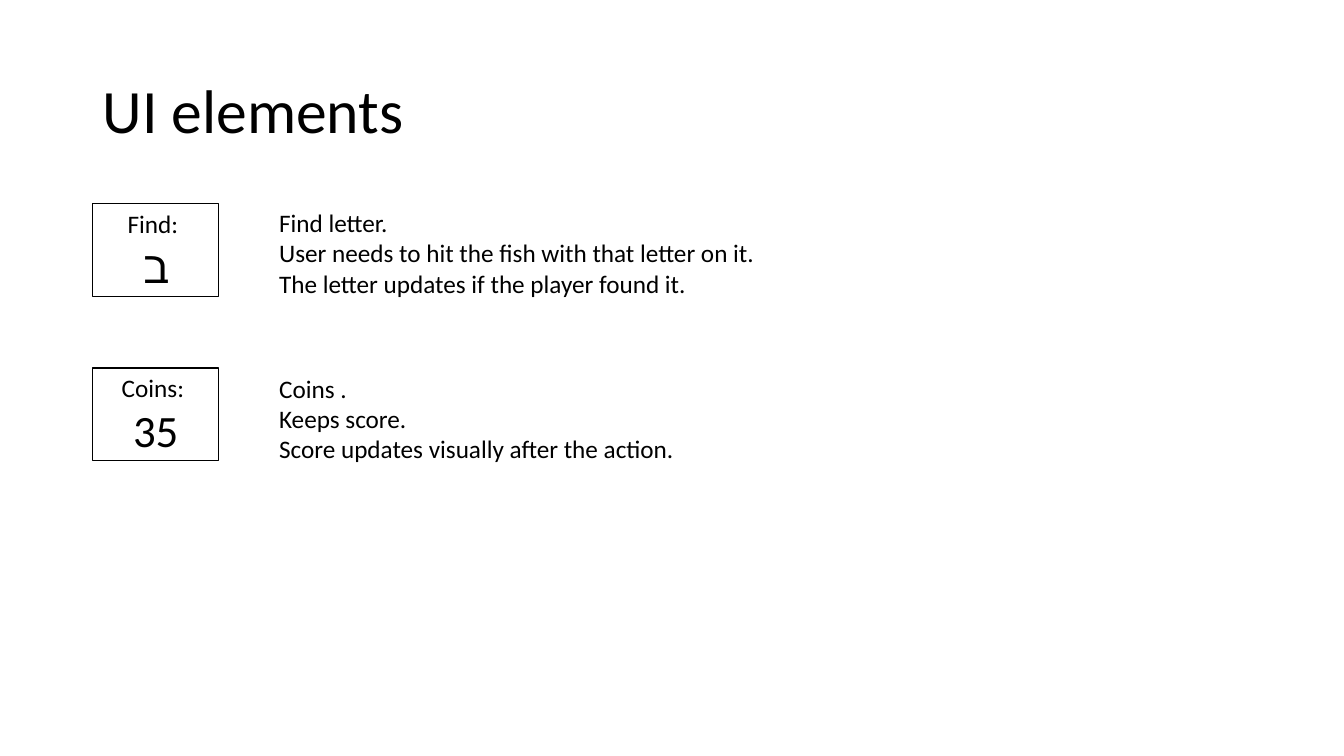
from dataclasses import dataclass

from pptx import Presentation
from pptx.dml.color import RGBColor
from pptx.enum.shapes import MSO_SHAPE
from pptx.enum.text import MSO_ANCHOR, PP_ALIGN
from pptx.slide import Slide
from pptx.text.text import TextFrame
from pptx.util import Pt

EMU_PER_PX = 9144


@dataclass(frozen=True)
class Theme:
    font: str = "Calibri"
    ink: RGBColor = RGBColor(0, 0, 0)
    paper: RGBColor = RGBColor(255, 255, 255)
    title_size: int = 44
    value_size: int = 32
    body_size: int = 18
    outline: int = 1


@dataclass(frozen=True)
class Box:
    left: int
    top: int
    width: int
    height: int

    def emu(self) -> tuple[int, ...]:
        return tuple(
            side * EMU_PER_PX
            for side in (self.left, self.top, self.width, self.height)
        )


@dataclass(frozen=True)
class Line:
    text: str
    size: int


@dataclass(frozen=True)
class UiElement:
    label: str
    value: str
    description: tuple[str, ...]
    panel: Box
    notes: Box


THEME = Theme()
TITLE = Box(92, 40, 1150, 145)
ELEMENTS = (
    UiElement(
        "Find: ",
        "ב",
        (
            "Find letter.",
            "User needs to hit the fish with that letter on it.",
            "The letter updates if the player found it.",
        ),
        Box(92, 202, 125, 92),
        Box(267, 201, 525, 101),
    ),
    UiElement(
        "Coins: ",
        "35",
        ("Coins .", "Keeps score.", "Score updates visually after the action."),
        Box(92, 365, 125, 92),
        Box(267, 365, 574, 101),
    ),
)


def write_lines(
    frame: TextFrame,
    lines: list[Line],
    align: PP_ALIGN = PP_ALIGN.LEFT,
    anchor: MSO_ANCHOR = MSO_ANCHOR.TOP,
    spacing: float = 1.0,
) -> None:
    frame.word_wrap = True
    frame.vertical_anchor = anchor
    for index, line in enumerate(lines):
        paragraph = frame.add_paragraph() if index else frame.paragraphs[0]
        paragraph.alignment = align
        paragraph.line_spacing = spacing
        run = paragraph.add_run()
        run.text = line.text
        run.font.name = THEME.font
        run.font.size = Pt(line.size)
        run.font.color.rgb = THEME.ink


def draw_title(slide: Slide, text: str) -> None:
    title = slide.shapes.title
    title.left, title.top, title.width, title.height = TITLE.emu()
    write_lines(
        title.text_frame,
        [Line(text, THEME.title_size)],
        anchor=MSO_ANCHOR.MIDDLE,
        spacing=0.9,
    )


def draw_element(slide: Slide, element: UiElement) -> None:
    notes = slide.shapes.add_textbox(*element.notes.emu())
    write_lines(
        notes.text_frame,
        [Line(text, THEME.body_size) for text in element.description],
    )
    panel = slide.shapes.add_shape(MSO_SHAPE.RECTANGLE, *element.panel.emu())
    panel.shadow.inherit = False
    panel.fill.solid()
    panel.fill.fore_color.rgb = THEME.paper
    panel.line.color.rgb = THEME.ink
    panel.line.width = Pt(THEME.outline)
    write_lines(
        panel.text_frame,
        [
            Line(element.label, THEME.body_size),
            Line(element.value, THEME.value_size),
        ],
        PP_ALIGN.CENTER,
        MSO_ANCHOR.MIDDLE,
    )


def main() -> None:
    presentation = Presentation()
    presentation.slide_width = 1333 * EMU_PER_PX
    presentation.slide_height = 750 * EMU_PER_PX
    slide = presentation.slides.add_slide(presentation.slide_layouts[5])
    draw_title(slide, "UI elements")
    for element in ELEMENTS:
        draw_element(slide, element)
    presentation.save("out.pptx")


if __name__ == "__main__":
    main()
